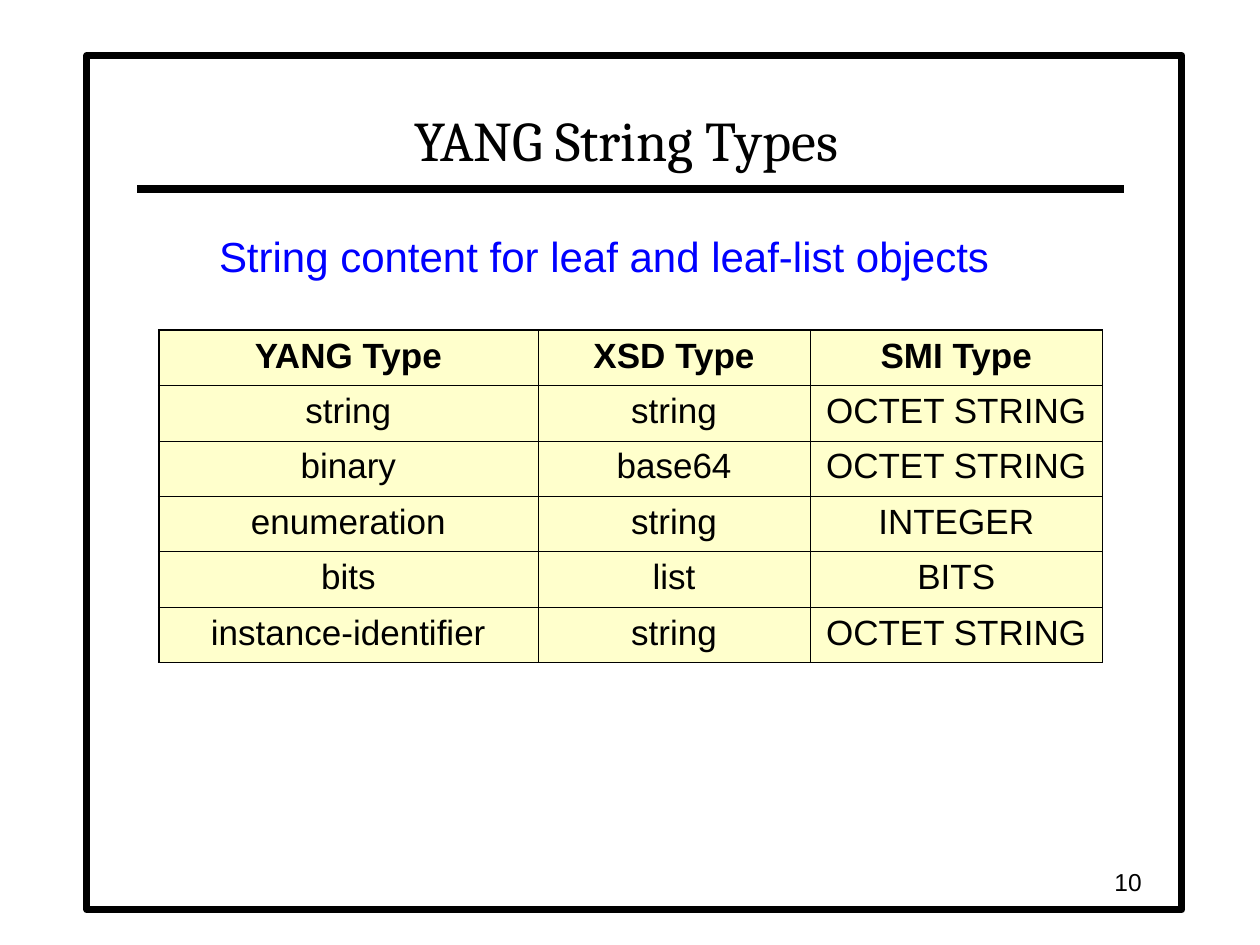
from dataclasses import dataclass
from lxml.etree import SubElement
from pptx import Presentation
from pptx.dml.color import RGBColor
from pptx.enum.shapes import MSO_CONNECTOR, MSO_SHAPE
from pptx.enum.text import MSO_ANCHOR, MSO_AUTO_SIZE, PP_ALIGN
from pptx.oxml.ns import qn
from pptx.util import Inches, Pt


@dataclass(frozen=True)
class Theme:
    ink: RGBColor = RGBColor(0, 0, 0)
    paper: RGBColor = RGBColor(255, 255, 255)
    cream: RGBColor = RGBColor(255, 255, 204)
    blue: RGBColor = RGBColor(0, 0, 255)
    serif: str = "Cambria"
    sans: str = "Arial"
    head: Pt = Pt(32)
    lead: Pt = Pt(24)
    cell: Pt = Pt(20)
    page: Pt = Pt(14)
    thick: Pt = Pt(1.08)
    thin: Pt = Pt(0.45)


theme = Theme()


def write(frame, text, size, align, color=theme.ink, name=theme.sans, bold=False):
    frame.text = text
    para = frame.paragraphs[0]
    para.alignment = align
    run = para.runs[0]
    for key, value in {"size": size, "name": name, "bold": bold}.items():
        setattr(run.font, key, value)
    run.font.color.rgb = color


def edge(cell, side, width):
    """Draw one border of a cell; side is L, R, T or B."""
    line = SubElement(cell._tc.get_or_add_tcPr(), qn(f"a:ln{side}"), w=str(width))
    fill = SubElement(line, qn("a:solidFill"))
    SubElement(fill, qn("a:srgbClr"), val=str(theme.ink))


deck = Presentation()
deck.slide_width, deck.slide_height = Inches(10), Inches(7.5)
slide = deck.slides.add_slide(deck.slide_layouts[5])
shapes = slide.shapes
title = shapes.title

# Frame and rule
border = shapes.add_shape(
    MSO_SHAPE.RECTANGLE, Inches(0.69), Inches(0.44), Inches(8.69), Inches(6.78)
)
border.shadow.inherit = False
border.fill.solid()
border.fill.fore_color.rgb = theme.paper
rule = shapes.add_connector(
    MSO_CONNECTOR.STRAIGHT, Inches(1.09), Inches(1.5), Inches(8.92), Inches(1.5)
)
SubElement(rule._element.spPr, qn("a:effectLst"))
for shape, width in ((border, 4), (rule, 4.5)):
    shape.line.color.rgb = theme.ink
    shape.line.width = Pt(width)

# Title, brought in front of the frame
shapes._spTree.append(title._element)
place = {"left": 1.08, "top": 0.5, "width": 7.79, "height": 0.92}
for key, value in place.items():
    setattr(title, key, Inches(value))
frame = title.text_frame
frame.auto_size = MSO_AUTO_SIZE.NONE
frame.vertical_anchor = MSO_ANCHOR.BOTTOM
write(frame, "YANG String Types", theme.head, PP_ALIGN.CENTER, name=theme.serif)

# Type table
rows = (
    ("YANG Type", "XSD Type", "SMI Type"),
    ("string", "string", "OCTET STRING"),
    ("binary", "base64", "OCTET STRING"),
    ("enumeration", "string", "INTEGER"),
    ("bits", "list", "BITS"),
    ("instance-identifier", "string", "OCTET STRING"),
)
widths = (3.01, 2.16, 2.32)
tall = Inches(0.44)
table = shapes.add_table(
    len(rows), len(widths), Inches(1.26), Inches(2.62),
    Inches(sum(widths)), tall * len(rows),
).table
table.first_row = table.horz_banding = False
for col, width in zip(table.columns, widths):
    col.width = Inches(width)
for i, row in enumerate(rows):
    table.rows[i].height = tall
    for j, text in enumerate(row):
        cell = table.cell(i, j)
        write(cell.text_frame, text, theme.cell, PP_ALIGN.CENTER, bold=i == 0)
        outer = {
            "L": j == 0,
            "R": j == len(widths) - 1,
            "T": i == 0,
            "B": i == len(rows) - 1,
        }
        for side, rim in outer.items():
            edge(cell, side, theme.thick if rim else theme.thin)
        cell.fill.solid()
        cell.fill.fore_color.rgb = theme.cream

# Lead line and page number
lead = shapes.add_textbox(Inches(1.64), Inches(1.78), Inches(6.37), Inches(0.5))
lead.text_frame.word_wrap = False
write(
    lead.text_frame, "String content for leaf and leaf-list objects",
    theme.lead, PP_ALIGN.LEFT, theme.blue,
)
page = shapes.add_textbox(Inches(7.08), Inches(6.83), Inches(2.08), Inches(0.33))
page.text_frame.word_wrap = True
page.text_frame.vertical_anchor = MSO_ANCHOR.MIDDLE
write(page.text_frame, "10", theme.page, PP_ALIGN.RIGHT)

deck.save("out.pptx")
